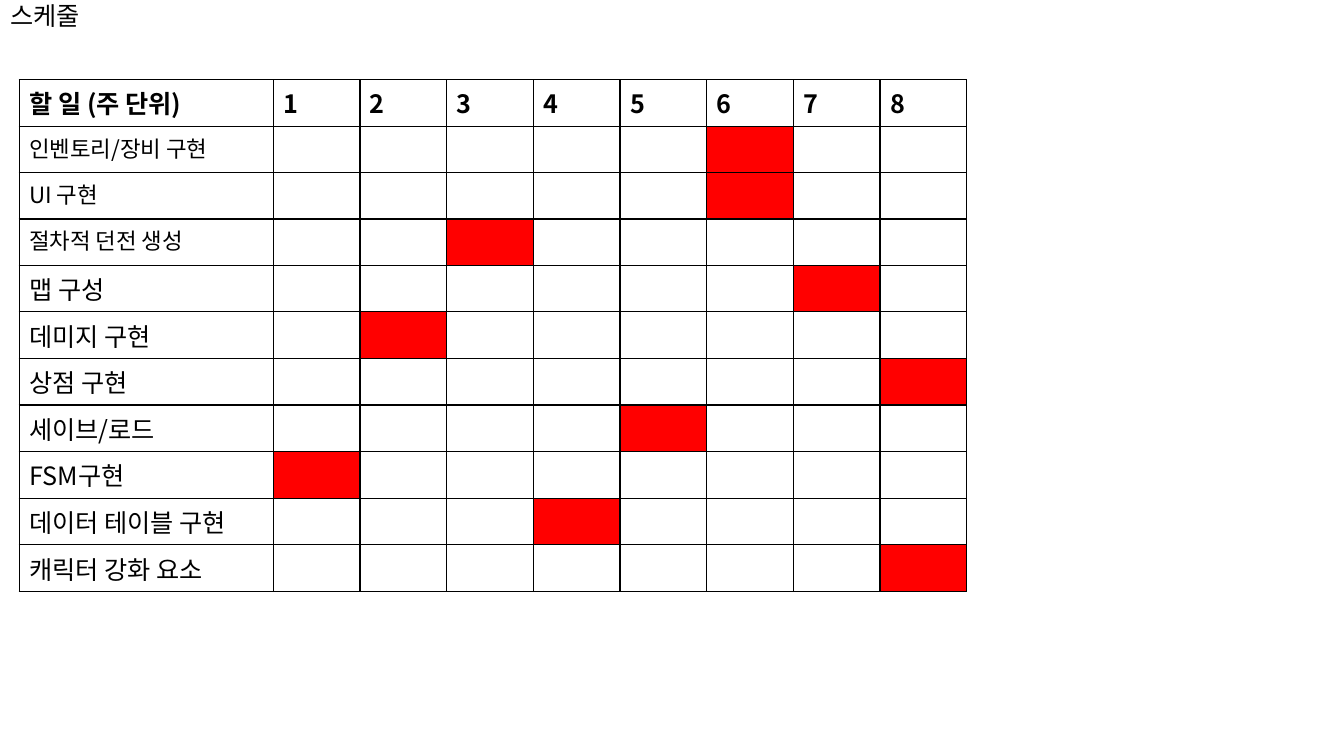
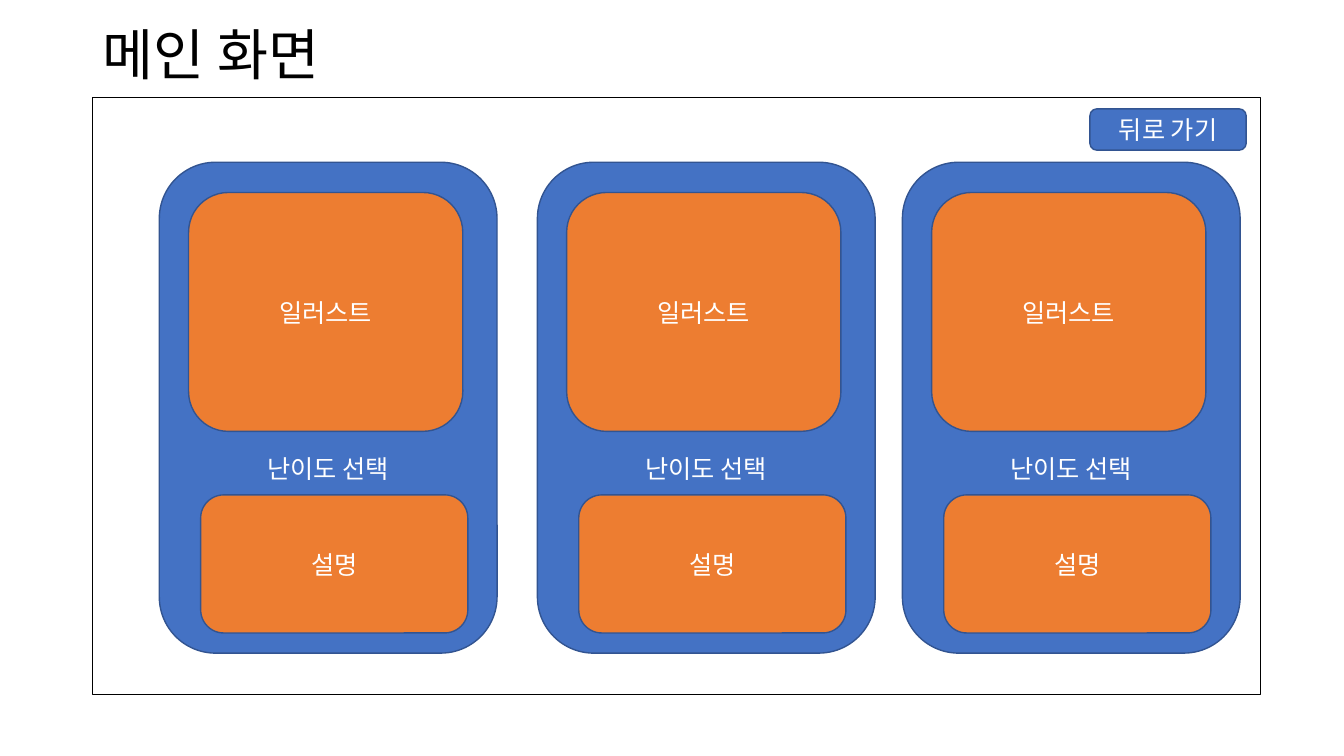
from lxml.etree import SubElement
from pptx import Presentation
from pptx.dml.color import RGBColor
from pptx.enum.shapes import MSO_SHAPE as Shape
from pptx.enum.text import MSO_ANCHOR as Anchor, MSO_AUTO_SIZE as AutoSize, PP_ALIGN as Align
from pptx.oxml import parse_xml
from pptx.oxml.ns import nsdecls, qn
from pptx.util import Inches, Pt

COLORS = {
    "ink": "000000",
    "paper": "FFFFFF",
    "busy": "FF0000",
    "card": "4472C4",
    "panel": "ED7D31",
    "outline": "325491",
}
FONT = "Noto Sans CJK KR"


def rgb(name):
    return RGBColor.from_string(COLORS[name])


class Deck:
    """Holds the style and the current slide."""

    def __init__(self):
        self.prs = Presentation()
        self.prs.slide_width, self.prs.slide_height = Inches(13.33), Inches(7.5)
        self.slide = None

    def add_text(self, frame, text, color="ink", size=18, bold=False, align=Align.LEFT):
        paragraph = frame.paragraphs[0]
        paragraph.alignment = align
        run = paragraph.add_run()
        run.text = text
        for key, value in {"name": FONT, "size": Pt(size), "bold": bold}.items():
            setattr(run.font, key, value)
        run.font.color.rgb = rgb(color)
        SubElement(run._r.get_or_add_rPr(), qn("a:ea"), typeface=FONT)
        return paragraph

    def new_slide(self, title, box, size):
        self.slide = self.prs.slides.add_slide(self.prs.slide_layouts[5])
        heading = self.slide.shapes.title
        for key, value in zip(("left", "top", "width", "height"), box):
            setattr(heading, key, Inches(value))
        frame = heading.text_frame
        for key, value in {"auto_size": AutoSize.NONE, "word_wrap": True,
                           "vertical_anchor": Anchor.MIDDLE}.items():
            setattr(frame, key, value)
        self.add_text(frame, title, size=size).line_spacing = 0.9

    def box(self, kind, box, fill=None, line="outline", text=None, drop=0):
        """Add a shape; its centred text sits `drop` inches below the middle."""
        shape = self.slide.shapes.add_shape(kind, *map(Inches, box))
        shape.shadow.inherit = False
        if fill:
            shape.fill.solid()
            shape.fill.fore_color.rgb = rgb(fill)
        else:
            shape.fill.background()
        shape.line.color.rgb = rgb(line)
        shape.line.width = Pt(1)
        if text:
            frame = shape.text_frame
            for key, value in {"word_wrap": True, "vertical_anchor": Anchor.MIDDLE,
                               "margin_top": Inches(0.05 + 2 * drop)}.items():
                setattr(frame, key, value)
            self.add_text(frame, text, "paper", align=Align.CENTER)

    def cell(self, cell, fill="paper", text=None, **style):
        cell.fill.solid()
        cell.fill.fore_color.rgb = rgb(fill)
        for index, side in enumerate(("lnL", "lnR", "lnT", "lnB")):
            cell._tc.get_or_add_tcPr().insert(index, parse_xml(
                f'<a:{side} {nsdecls("a")} w="12700"><a:solidFill>'
                f'<a:srgbClr val="{COLORS["ink"]}"/></a:solidFill></a:{side}>'))
        if text:
            self.add_text(cell.text_frame, text, **style)

    def schedule(self, left, top, heading, weeks, tasks, task_width, week_width, row_height):
        rows = len(tasks) + 1
        table = self.slide.shapes.add_table(
            rows, weeks + 1, Inches(left), Inches(top),
            Inches(task_width + weeks * week_width), Inches(rows * row_height)).table
        table.first_row = table.horz_banding = False
        for index, column in enumerate(table.columns):
            column.width = Inches(week_width if index else task_width)
            self.cell(table.cell(0, index), text=str(index) if index else heading, bold=True)
        for row, (task, busy_week, size) in enumerate(tasks, 1):
            self.cell(table.cell(row, 0), text=task, size=size)
            for week in range(1, weeks + 1):
                self.cell(table.cell(row, week), "busy" if week == busy_week else "paper")


# Task, week in which it is done, text size
TASKS = [
    ("인벤토리/장비 구현", 6, 16),
    ("UI 구현", 6, 16),
    ("절차적 던전 생성", 3, 16),
    ("맵 구성", 7, 18),
    ("데미지 구현", 2, 18),
    ("상점 구현", 8, 18),
    ("세이브/로드", 5, 18),
    ("FSM구현", 1, 18),
    ("데이터 테이블 구현", 4, 18),
    ("캐릭터 강화 요소", 8, 18),
]
CARD_LEFTS = (1.58, 5.33, 8.95)


def main():
    deck = Deck()

    # Weekly schedule
    deck.new_slide("스케줄", (0, 0, 1.09, 0.35), 18)
    deck.schedule(0.19, 0.79, "할 일 (주 단위)", 8, TASKS,
                  task_width=2.52, week_width=0.86, row_height=0.46)

    # Main screen: frame, back button and difficulty cards
    deck.new_slide("메인 화면", (0.92, 0.4, 9.14, 0.35), 39.6)
    deck.box(Shape.RECTANGLE, (0.92, 0.97, 11.58, 5.92), line="ink")
    deck.box(Shape.ROUNDED_RECTANGLE, (10.81, 1.08, 1.55, 0.41), "card", text="뒤로 가기")
    for left in CARD_LEFTS:
        for box, fill, text, drop in (
                ((left, 1.61, 3.35, 4.87), "card", "난이도 선택", 0.6),
                ((left + 0.29, 1.91, 2.72, 2.37), "panel", "일러스트", 0),
                ((left + 0.41, 4.91, 2.65, 1.37), "panel", "설명", 0)):
            deck.box(Shape.ROUNDED_RECTANGLE, box, fill, text=text, drop=drop)

    deck.prs.save("out.pptx")


if __name__ == "__main__":
    main()
